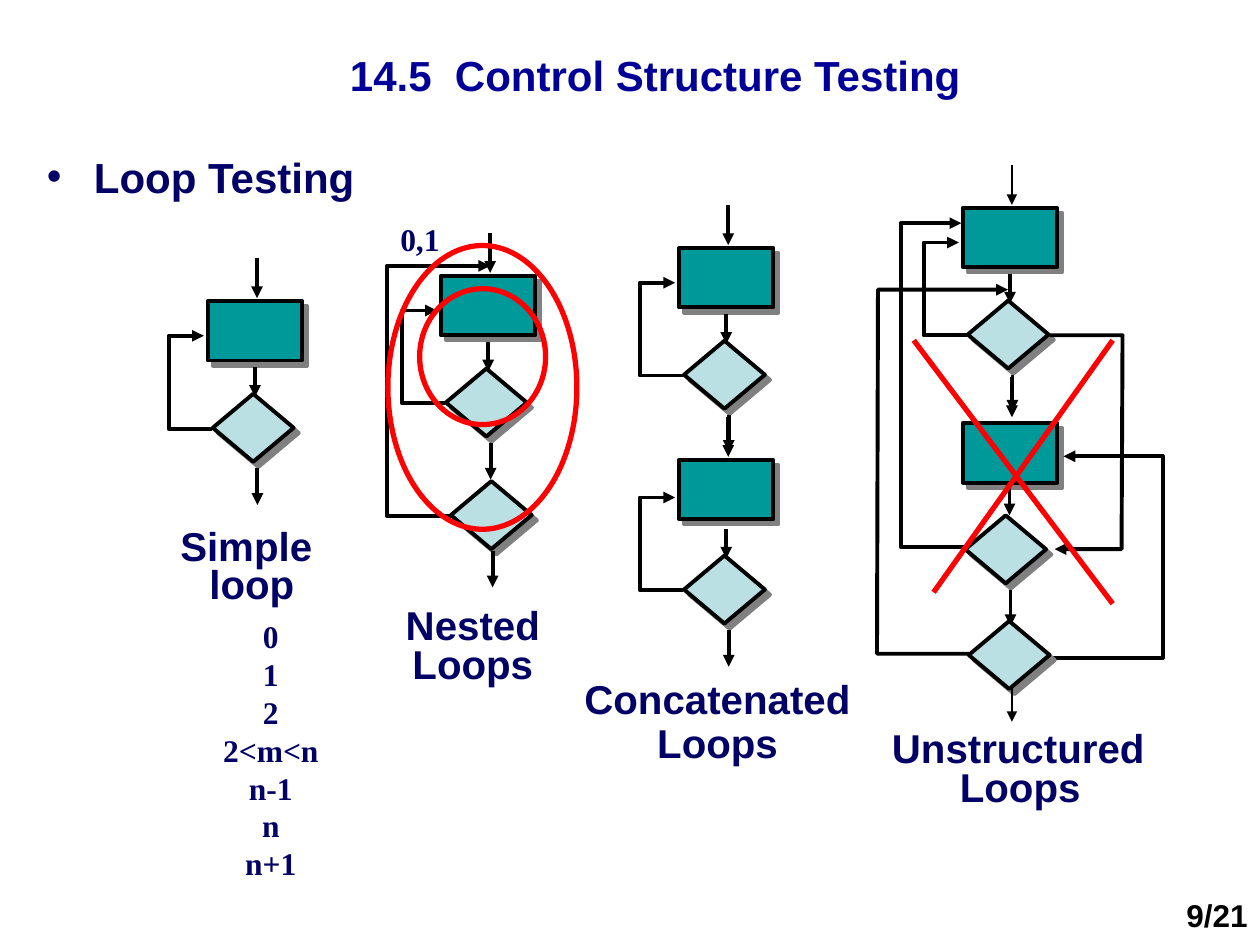
"""Build the loop testing slide with four control-flow diagrams."""
from dataclasses import dataclass
from typing import Any

from lxml import etree
from pptx import Presentation
from pptx.dml.color import RGBColor
from pptx.enum.shapes import MSO_CONNECTOR, MSO_SHAPE
from pptx.enum.text import MSO_ANCHOR, MSO_AUTO_SIZE, PP_ALIGN
from pptx.oxml.ns import qn
from pptx.util import Cm, Pt

STRAIGHT = MSO_CONNECTOR.STRAIGHT
RECT, DIAMOND, OVAL = MSO_SHAPE.RECTANGLE, MSO_SHAPE.DIAMOND, MSO_SHAPE.OVAL
LEFT, CENTER, RIGHT = PP_ALIGN.LEFT, PP_ALIGN.CENTER, PP_ALIGN.RIGHT
TOP, MIDDLE = MSO_ANCHOR.TOP, MSO_ANCHOR.MIDDLE
GROW, FIXED = MSO_AUTO_SIZE.SHAPE_TO_FIT_TEXT, MSO_AUTO_SIZE.NONE
Point = tuple[float, float]


@dataclass(frozen=True)
class Theme:
    title: str = "000099"
    text: str = "000066"
    ink: str = "000000"
    process: str = "009999"
    decision: str = "BBE0E3"
    mark: str = "FF0000"
    shadow: str = "808080"
    sans: str = "Arial"
    serif: str = "Times New Roman"
    heading_pt: float = 24
    caption_pt: float = 23
    note_pt: float = 18
    thin_pt: float = 1
    line_pt: float = 2.25
    mark_pt: float = 3


THEME = Theme()


@dataclass(frozen=True)
class Stage:
    x: float
    y: float
    drop: float = 1.87
    entry_pt: float = THEME.line_pt


@dataclass(frozen=True)
class Label:
    text: str
    box: tuple[float, float, float, float]
    align: Any = LEFT
    wrap: bool = True
    font: str = THEME.sans
    size: float = THEME.caption_pt
    color: str = THEME.text
    spacing: float = 1.0


def rgb(color: str) -> RGBColor:
    return RGBColor.from_string(color)


def format_text(tf: Any, font: str, size: float, color: str, align: Any) -> None:
    for p in tf.paragraphs:
        p.alignment = align
        p.space_before = Pt(0)
        for r in p.runs:
            r.font.name, r.font.size, r.font.bold = font, Pt(size), True
            r.font.color.rgb = rgb(color)


def place(sp: Any, box: tuple[float, float, float, float]) -> None:
    sp.left, sp.top, sp.width, sp.height = map(Cm, box)


def add_label(shapes: Any, label: Label) -> None:
    tf = shapes.add_textbox(*map(Cm, label.box)).text_frame
    tf.text = label.text
    tf.word_wrap, tf.auto_size = label.wrap, GROW
    format_text(tf, label.font, label.size, label.color, label.align)
    for p in tf.paragraphs:
        p.line_spacing = label.spacing


def add_node(shapes: Any, kind: Any, x: float, y: float) -> None:
    w, h, color = (1.9, 1.2, THEME.process) if kind == RECT else (1.63, 1.37, THEME.decision)
    sp = shapes.add_shape(kind, Cm(x), Cm(y), Cm(w), Cm(h))
    sp.fill.solid()
    sp.fill.fore_color.rgb = rgb(color)
    sp.line.color.rgb, sp.line.width = rgb(THEME.ink), Pt(THEME.line_pt)
    sp.shadow.inherit = False
    effects = sp._element.spPr.find(qn("a:effectLst"))
    shadow = etree.SubElement(effects, qn("a:outerShdw"), blurRad="0", dist=str(Pt(4.2)),
                              dir="2700000", algn="ctr", rotWithShape="0")
    etree.SubElement(shadow, qn("a:srgbClr"), val=THEME.shadow)


def add_line(shapes: Any, start: Point, end: Point, color: str, width: float) -> Any:
    sp = shapes.add_connector(STRAIGHT, *map(Cm, start + end))
    sp.line.color.rgb, sp.line.width = rgb(color), Pt(width)
    etree.SubElement(sp._element.spPr, qn("a:effectLst"))
    return sp


def add_arrowhead(sp: Any) -> None:
    etree.SubElement(sp.line._get_or_add_ln(), qn("a:tailEnd"), type="triangle")


def add_arrow(shapes: Any, x: float, top: float, bottom: float,
              width: float = THEME.line_pt) -> None:
    add_arrowhead(add_line(shapes, (x, top), (x, bottom), THEME.ink, width))


def add_path(shapes: Any, *points: Point) -> None:
    start, *rest = [(Cm(x), Cm(y)) for x, y in points]
    builder = shapes.build_freeform(*start)
    builder.add_line_segments(rest, close=False)
    sp = builder.convert_to_shape()
    sp.fill.background()
    sp.line.color.rgb, sp.line.width = rgb(THEME.ink), Pt(THEME.line_pt)
    sp.shadow.inherit = False
    add_arrowhead(sp)


def add_stage(shapes: Any, stage: Stage) -> None:
    x, y = stage.x, stage.y
    test = y + stage.drop
    add_node(shapes, RECT, x, y)
    add_node(shapes, DIAMOND, x + 0.1, test)
    add_arrow(shapes, x + 0.99, y - 0.86, y - 0.06, stage.entry_pt)
    add_arrow(shapes, x + 0.95, test - 0.54, test + 0.06)
    add_path(shapes, (x + 0.08, test + 0.7), (x - 0.79, test + 0.7),
             (x - 0.79, test - 1.17), (x - 0.08, test - 1.17))
    add_arrow(shapes, x + 1, test + 1.5, test + 2.24)


def add_ring(shapes: Any, *box: float) -> None:
    sp = shapes.add_shape(OVAL, *map(Cm, box))
    sp.fill.background()
    sp.line.color.rgb, sp.line.width = rgb(THEME.mark), Pt(THEME.mark_pt)
    sp.shadow.inherit = False


def add_headings(s: Any) -> None:
    title, body = s.shapes.title, s.placeholders[1]
    place(title, (2.29, 0.33, 21.84, 2.36))
    place(body, (0.69, 2.92, 22.86, 2.39))
    title.text_frame.text = "14.5  Control Structure Testing"
    body.text_frame.text = "Loop Testing"
    pPr = body.text_frame.paragraphs[0]._p.get_or_add_pPr()
    pPr.set("marL", str(Cm(0.95)))
    pPr.set("indent", str(-Cm(0.95)))
    etree.SubElement(pPr, qn("a:buChar"), char="•")
    for sp, color, align, anchor in ((title, THEME.title, CENTER, MIDDLE),
                                     (body, THEME.text, LEFT, TOP)):
        tf = sp.text_frame
        tf.auto_size, tf.vertical_anchor = FIXED, anchor
        format_text(tf, THEME.sans, THEME.heading_pt, color, align)


def add_nested_tail(shapes: Any) -> None:
    add_node(shapes, DIAMOND, 9.09, 9.7)
    add_path(shapes, (9.09, 10.4), (7.8, 10.4), (7.8, 5.36), (9.88, 5.36))
    add_arrow(shapes, 9.93, 11.1, 11.84)


def add_unstructured_tail(shapes: Any) -> None:
    add_node(shapes, RECT, 19.41, 8.53)
    add_arrow(shapes, 20.4, 7.6, 8.41)
    add_arrow(shapes, 20.35, 9.78, 10.39)
    add_path(shapes, (19.61, 11.03), (18.16, 11.03), (18.16, 4.5), (19.38, 4.5))
    add_path(shapes, (21.16, 6.76), (22.63, 6.76), (22.61, 11.07), (21.26, 11.07))
    add_path(shapes, (21.23, 13.26), (23.44, 13.26), (23.44, 9.2), (21.44, 9.2))
    add_path(shapes, (19.53, 13.18), (17.68, 13.18), (17.7, 5.84), (20.32, 5.84))
    add_node(shapes, DIAMOND, 19.46, 10.39)
    add_arrow(shapes, 20.37, 11.89, 12.62)
    add_node(shapes, DIAMOND, 19.53, 12.52)
    add_arrow(shapes, 20.4, 13.82, 14.55, THEME.thin_pt)


def main() -> None:
    prs = Presentation()
    prs.slide_width, prs.slide_height = Cm(25.4), Cm(19.05)
    s = prs.slides.add_slide(prs.slide_layouts[1])
    add_headings(s)
    diagrams = (
        ([Label("Simple \nloop", (3.38, 10.57, 3.4, 1.8), CENTER, False, spacing=0.8)],
         [Stage(4.19, 6.07)], None),
        ([Label("Concatenated", (11.53, 13.46, 6.25, 2.18)),
          Label("Loops", (13, 14.35, 2.95, 1.22), wrap=False)],
         [Stage(13.69, 5), Stage(13.69, 9.27, 1.93)], None),
        ([Label("Unstructured", (17.73, 14.45, 5.97, 2.18)),
          Label("Loops", (19.1, 15.24, 2.95, 1.22), wrap=False)],
         [Stage(19.41, 4.19, entry_pt=THEME.thin_pt)], add_unstructured_tail),
        ([Label("Nested \nLoops", (7.82, 12.17, 3.43, 1.8), CENTER, False, spacing=0.8)],
         [Stage(8.89, 5.56)], add_nested_tail),
    )
    for labels, stages, add_tail in diagrams:
        shapes = s.shapes.add_group_shape().shapes
        for label in labels:
            add_label(shapes, label)
        for stage in stages:
            add_stage(shapes, stage)
        if add_tail:
            add_tail(shapes)
    add_label(s.shapes, Label("0\n1\n2\n2<m<n\nn-1\nn\nn+1", (4.09, 12.32, 2.74, 5.59),
                              CENTER, font=THEME.serif, size=THEME.note_pt))
    add_ring(s.shapes, 8.46, 5.82, 2.54, 2.74)
    add_label(s.shapes, Label("0,1", (7.82, 4.32, 1.47, 1.02),
                              font=THEME.serif, size=THEME.note_pt))
    add_ring(s.shapes, 7.82, 4.95, 3.81, 5.72)
    cross = s.shapes.add_group_shape().shapes
    add_line(cross, (18.42, 6.86), (22.43, 12.17), THEME.mark, THEME.mark_pt)
    add_line(cross, (22.43, 6.86), (18.82, 11.94), THEME.mark, THEME.mark_pt)
    add_label(s.shapes, Label("9/21", (23.11, 17.93, 2.29, 1.02), RIGHT,
                              size=THEME.note_pt, color=THEME.ink))
    prs.save("out.pptx")


if __name__ == "__main__":
    main()
